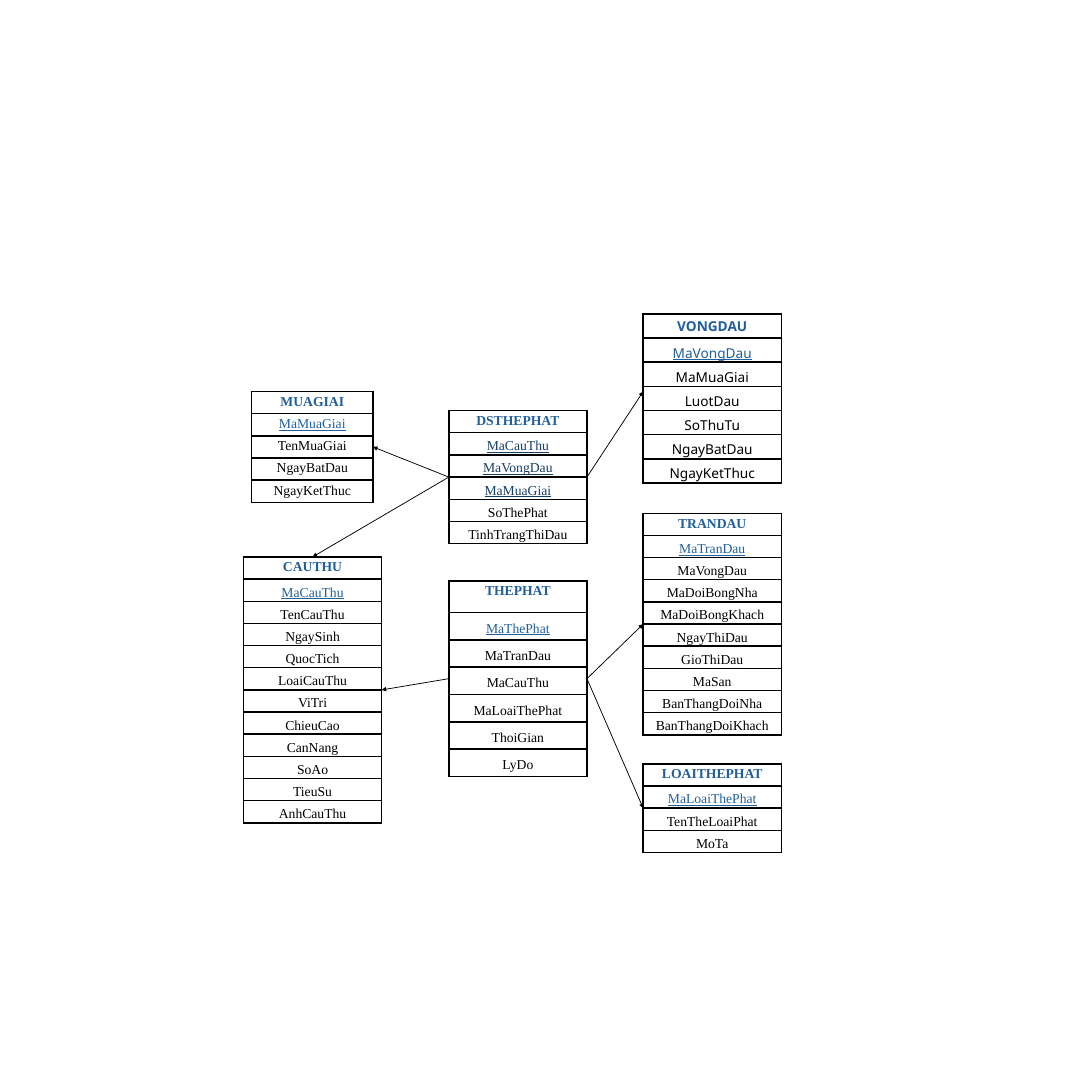
"""Draws the relational schema of a football league's penalty cards."""
from dataclasses import dataclass

import lxml.etree
import pptx
import pptx.dml.color
import pptx.enum.shapes
import pptx.enum.text
import pptx.oxml.ns
import pptx.util

Inches = pptx.util.Inches
Pt = pptx.util.Pt
LEFT, RIGHT, TOP = 1, 3, 0


@dataclass(frozen=True)
class Theme:
    heading: str = "215F9A"
    shared_key: str = "163E64"
    ink: str = "000000"
    paper: str = "FFFFFF"
    font: str = "Times New Roman"
    size: float = 18
    border: float = 2.25
    arrow: float = 1
    row_height: float = 4.06 / 10
    line_spacing: float = 1.3


@dataclass(frozen=True)
class Entity:
    left: float
    top: float
    fields: str
    width: float = 2.53
    keys: int = 1
    key_color: str = Theme.heading
    font: str = Theme.font
    header_height: float = Theme.row_height
    row_height: float = Theme.row_height
    compact: bool = True


ENTITIES = {
    "DSTHEPHAT": Entity(8.22, 7.52, "MaCauThu MaVongDau MaMuaGiai SoThePhat TinhTrangThiDau",
                        keys=3, key_color=Theme.shared_key),
    "MUAGIAI": Entity(4.61, 7.17, "MaMuaGiai TenMuaGiai NgayBatDau NgayKetThuc",
                      width=2.22, compact=False),
    "VONGDAU": Entity(11.78, 5.75, "MaVongDau MaMuaGiai LuotDau SoThuTu NgayBatDau NgayKetThuc",
                      font="Noto Sans"),
    "CAUTHU": Entity(4.46, 10.2, "MaCauThu TenCauThu NgaySinh QuocTich LoaiCauThu ViTri "
                                 "ChieuCao CanNang SoAo TieuSu AnhCauThu"),
    "THEPHAT": Entity(8.22, 10.64, "MaThePhat MaTranDau MaCauThu MaLoaiThePhat ThoiGian LyDo",
                      header_height=0.58, row_height=0.5),
    "TRANDAU": Entity(11.78, 9.4, "MaTranDau MaVongDau MaDoiBongNha MaDoiBongKhach NgayThiDau "
                                  "GioThiDau MaSan BanThangDoiNha BanThangDoiKhach"),
    "LOAITHEPHAT": Entity(11.78, 13.99, "MaLoaiThePhat TenTheLoaiPhat MoTa"),
}

RELATIONS = [
    ("DSTHEPHAT", LEFT, "MUAGIAI", RIGHT),
    ("DSTHEPHAT", RIGHT, "VONGDAU", LEFT),
    ("DSTHEPHAT", LEFT, "CAUTHU", TOP),
    ("THEPHAT", RIGHT, "TRANDAU", LEFT),
    ("THEPHAT", LEFT, "CAUTHU", RIGHT),
    ("THEPHAT", RIGHT, "LOAITHEPHAT", LEFT),
]


def rgb(value):
    return pptx.dml.color.RGBColor.from_string(value)


def add_element(parent, tag, **attributes):
    return lxml.etree.SubElement(parent, pptx.oxml.ns.qn(tag), attributes)


class SchemaSlide:
    def __init__(self, slide, theme):
        self.slide = slide
        self.theme = theme
        self.frames = {}

    def entity(self, name, entity):
        texts = [name, *entity.fields.split()]
        heights = [entity.header_height] + [entity.row_height] * (len(texts) - 1)
        frame = self.slide.shapes.add_table(
            len(texts), 1, Inches(entity.left), Inches(entity.top),
            Inches(entity.width), Inches(sum(heights)))
        table = frame.table
        table.first_row = table.horz_banding = False
        for index, (text, height) in enumerate(zip(texts, heights)):
            table.rows[index].height = Inches(height)
            self.cell(table.cell(index, 0), text, index, entity)
        self.frames[name] = frame

    def cell(self, cell, text, index, entity):
        is_header = index == 0
        is_key = 0 < index <= entity.keys
        self.borders(cell)
        cell.fill.solid()
        cell.fill.fore_color.rgb = rgb(self.theme.paper)
        cell.text = text
        para = cell.text_frame.paragraphs[0]
        para.alignment = pptx.enum.text.PP_ALIGN.CENTER
        if entity.compact and not is_header:
            cell.vertical_anchor = pptx.enum.text.MSO_ANCHOR.MIDDLE
            cell.margin_left = cell.margin_right = Inches(0.07)
            cell.margin_top = cell.margin_bottom = 0
            para.line_spacing = self.theme.line_spacing
        color = self.theme.heading if is_header else entity.key_color if is_key else self.theme.ink
        font = para.font
        font.name = entity.font
        font.size = Pt(self.theme.size)
        font.bold = is_header
        font.underline = is_key
        font.color.rgb = rgb(color)

    def borders(self, cell):
        properties = cell._tc.get_or_add_tcPr()
        for side in ("a:lnL", "a:lnR", "a:lnT", "a:lnB"):
            line = add_element(properties, side, w=str(Pt(self.theme.border)))
            fill = add_element(line, "a:solidFill")
            add_element(fill, "a:srgbClr", val=self.theme.ink)

    def relation(self, source, source_side, target, target_side):
        arrow = self.slide.shapes.add_connector(
            pptx.enum.shapes.MSO_CONNECTOR.STRAIGHT, 0, 0, 0, 0)
        arrow.begin_connect(self.frames[source], source_side)
        arrow.end_connect(self.frames[target], target_side)
        arrow.line.width = Pt(self.theme.arrow)
        arrow.line.color.rgb = rgb(self.theme.ink)
        add_element(arrow.line._get_or_add_ln(), "a:tailEnd", type="triangle")
        add_element(arrow._element.spPr, "a:effectLst")


def main():
    deck = pptx.Presentation()
    deck.slide_width = deck.slide_height = Inches(20)
    page = SchemaSlide(deck.slides.add_slide(deck.slide_layouts[6]), Theme())
    for name, entity in ENTITIES.items():
        page.entity(name, entity)
    for relation in RELATIONS:
        page.relation(*relation)
    deck.save("out.pptx")


if __name__ == "__main__":
    main()
